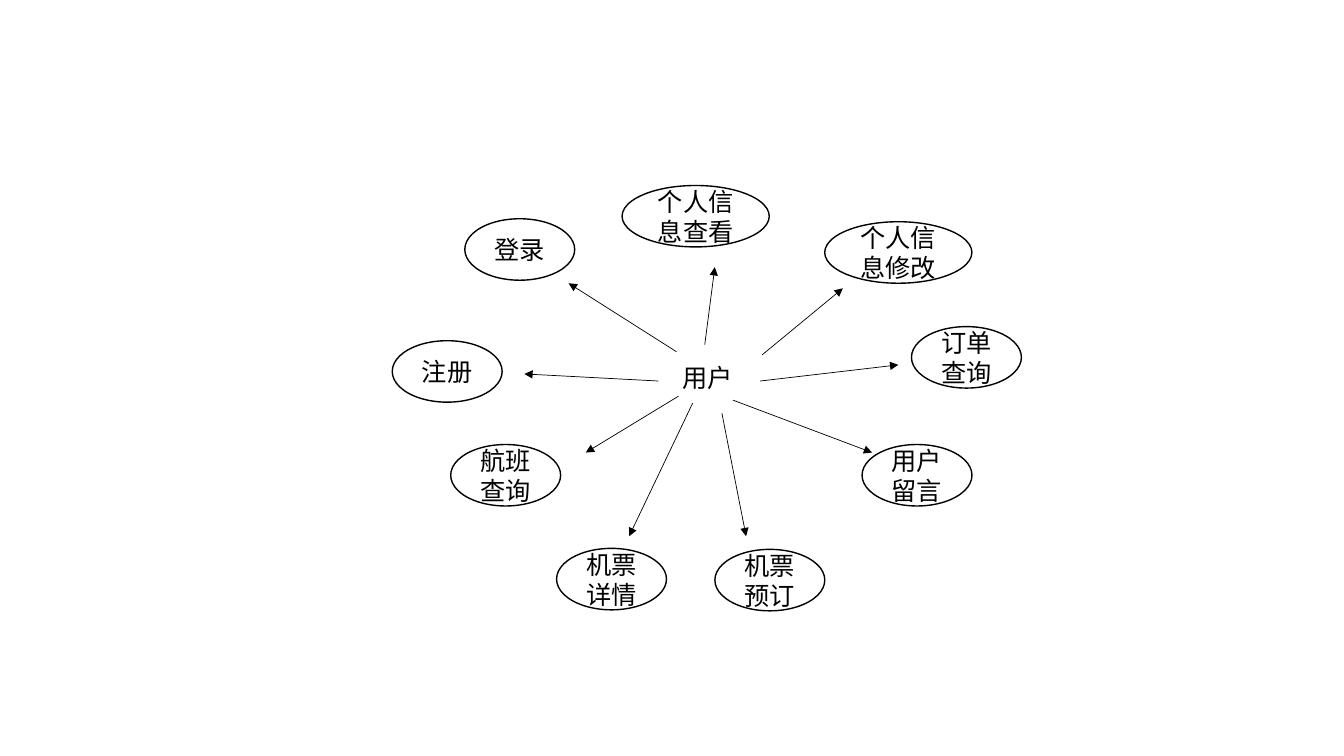
from lxml.etree import SubElement
from pptx import Presentation
from pptx.dml.color import RGBColor
from pptx.enum.shapes import MSO_CONNECTOR as Connector, MSO_SHAPE as Shape
from pptx.enum.text import MSO_ANCHOR as Anchor, PP_ALIGN as Align
from pptx.oxml.ns import qn
from pptx.util import Inches, Pt

BLACK = RGBColor(0, 0, 0)
WHITE = RGBColor(255, 255, 255)
FONT = "Noto Sans CJK SC"
NARROW, WIDE, HEIGHT = 1.09, 1.46, 0.61

FUNCTIONS = [
    ("注册", 0, 1.54, NARROW, (2.64, 1.94), (1.31, 1.87)),
    ("登录", 0.72, 0.33, NARROW, (2.82, 1.65), (1.75, 0.97)),
    ("航班查询", 0.58, 2.57, NARROW, (2.84, 2.09), (1.92, 2.65)),
    ("机票详情", 1.63, 3.6, NARROW, (2.98, 2.16), (2.35, 3.48)),
    ("订单查询", 5.15, 1.4, NARROW, (3.65, 1.94), (5.02, 1.78)),
    ("机票预订", 3.2, 3.61, NARROW, (3.27, 2.26), (3.51, 3.48)),
    ("用户留言", 4.66, 2.57, NARROW, (3.38, 2.13), (4.76, 2.65)),
    ("个人信息查看", 2.28, 0, WIDE, (3.1, 1.58), (3.2, 0.81)),
    ("个人信息修改", 4.29, 0.36, WIDE, (3.67, 1.68), (4.47, 1.02)),
]


def write(shape, words, align):
    shape.text_frame.word_wrap = True
    para = shape.text_frame.paragraphs[0]
    para.alignment = align
    para.line_spacing = Pt(21.6)
    span = para.add_run()
    span.text = words
    span.font.size = Pt(18)
    span.font.name = FONT
    span.font.color.rgb = BLACK
    SubElement(span.font._element, qn("a:ea"), typeface=FONT)


def add_function(slide, words, left, top, width):
    oval = slide.shapes.add_shape(
        Shape.OVAL, Inches(left), Inches(top), Inches(width), Inches(HEIGHT))
    oval.shadow.inherit = False
    oval.fill.solid()
    oval.fill.fore_color.rgb = WHITE
    oval.line.color.rgb = BLACK
    oval.line.width = Pt(1)
    oval.text_frame.vertical_anchor = Anchor.MIDDLE
    write(oval, words, Align.CENTER)


def add_arrow(slide, start, end):
    arrow = slide.shapes.add_connector(
        Connector.STRAIGHT, *(Inches(value) for value in (*start, *end)))
    arrow.line.color.rgb = BLACK
    arrow.line.width = Pt(0.5)
    SubElement(arrow.line._get_or_add_ln(), qn("a:tailEnd"), type="triangle")
    SubElement(arrow._element.spPr, qn("a:effectLst"))


def add_user_diagram(slide, left, top):
    user = slide.shapes.add_textbox(
        Inches(left + 2.78), Inches(top + 1.71), Inches(0.89), Inches(0.4))
    write(user, "用户", Align.LEFT)
    for words, x, y, width, start, end in FUNCTIONS:
        add_function(slide, words, left + x, top + y, width)
        add_arrow(slide, *((left + px, top + py) for px, py in (start, end)))


deck = Presentation()
deck.slide_width, deck.slide_height = Inches(13.33), Inches(7.5)
page = deck.slides.add_slide(deck.slide_layouts[6])
add_user_diagram(page, 3.89, 1.84)
deck.save("out.pptx")
